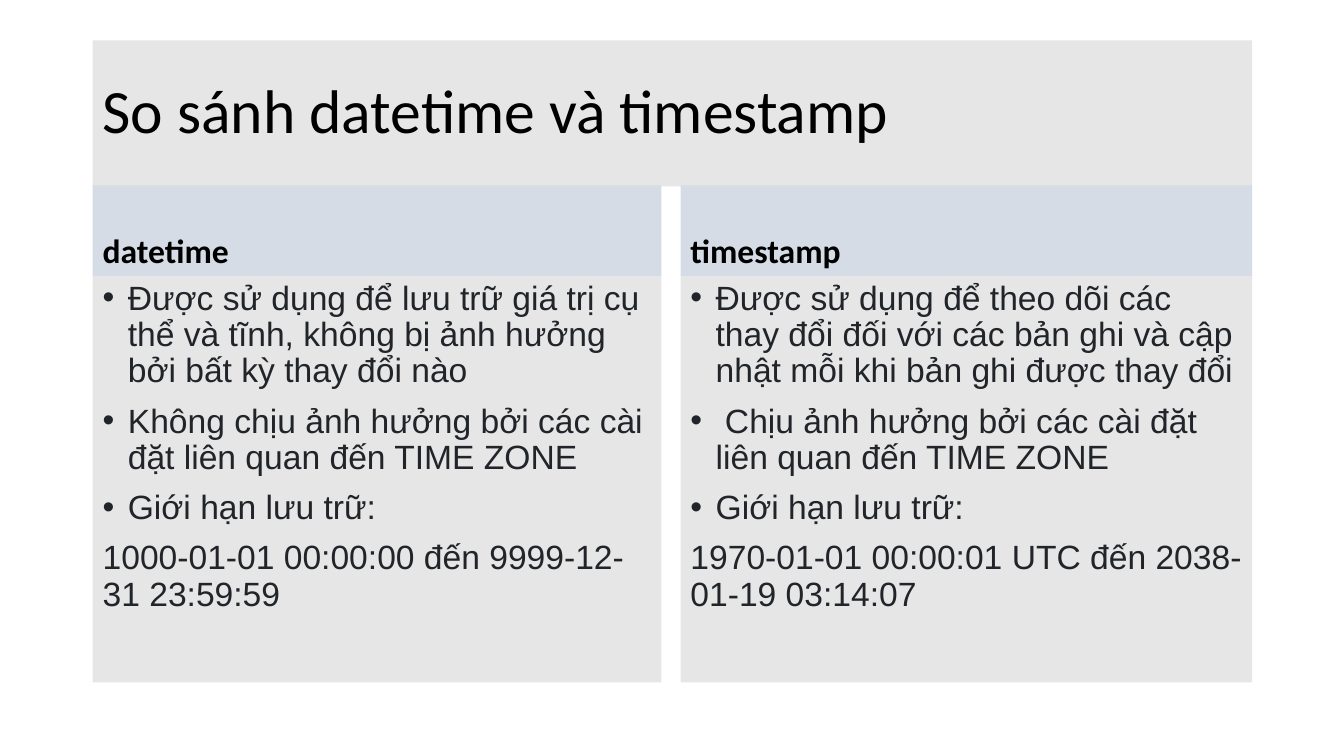
from dataclasses import dataclass

from lxml import etree
from pptx import Presentation
from pptx.dml.color import RGBColor
from pptx.enum.text import MSO_ANCHOR
from pptx.oxml.ns import qn
from pptx.slide import Slide
from pptx.text.text import _Paragraph
from pptx.util import Inches, Pt

TOP = MSO_ANCHOR.TOP
MIDDLE = MSO_ANCHOR.MIDDLE
BOTTOM = MSO_ANCHOR.BOTTOM

COLORS = {"panel": "E7E6E6", "heading": "D6DCE5", "black": "000000", "body": "212529"}
SLIDE_WIDTH, SLIDE_HEIGHT = 13.33, 7.5
LEFT, CONTENT_WIDTH = 0.92, 11.5
TITLE_TOP, TITLE_HEIGHT = 0.4, 1.45
HEADING_TOP, HEADING_HEIGHT = 1.84, 0.9
BODY_TOP, BODY_HEIGHT = HEADING_TOP + HEADING_HEIGHT, 4.03
BULLET_INDENT = 0.25


@dataclass(frozen=True)
class TextStyle:
    fill: str
    color: str
    font: str
    size: int
    anchor: MSO_ANCHOR
    bold: bool = False
    space_before: int = 10


@dataclass(frozen=True)
class Column:
    left: float
    width: float
    heading: str
    bullets: tuple[str, ...]
    limits: str


TITLE = TextStyle("panel", "black", "Calibri", 44, MIDDLE, space_before=0)
HEADING = TextStyle("heading", "black", "Calibri", 24, BOTTOM, bold=True)
BODY = TextStyle("panel", "body", "Arial", 24, TOP)

COLUMNS = (
    Column(
        LEFT, 5.64, "datetime",
        (
            "Được sử dụng để lưu trữ giá trị cụ thể và tĩnh, không bị ảnh hưởng bởi bất kỳ thay đổi nào",
            "Không chịu ảnh hưởng bởi các cài đặt liên quan đến TIME ZONE",
            "Giới hạn lưu trữ:",
        ),
        "1000-01-01 00:00:00 đến 9999-12-31 23:59:59",
    ),
    Column(
        6.75, 5.67, "timestamp",
        (
            "Được sử dụng để theo dõi các thay đổi đối với các bản ghi và cập nhật mỗi khi bản ghi được thay đổi",
            "\u00a0Chịu ảnh hưởng bởi các cài đặt liên quan đến TIME ZONE",
            "Giới hạn lưu trữ:",
        ),
        "1970-01-01 00:00:01 UTC đến 2038-01-19 03:14:07",
    ),
)


def add_bullet(paragraph: _Paragraph) -> None:
    properties = paragraph._p.get_or_add_pPr()
    properties.set("marL", str(Inches(BULLET_INDENT)))
    properties.set("indent", str(-Inches(BULLET_INDENT)))
    etree.SubElement(properties, qn("a:buFont")).set("typeface", "Arial")
    etree.SubElement(properties, qn("a:buChar")).set("char", "•")


def add_panel(
    slide: Slide, left: float, top: float, width: float, height: float,
    style: TextStyle, bullets: tuple[str, ...] = (), plain: tuple[str, ...] = (),
) -> None:
    shape = slide.shapes.add_textbox(Inches(left), Inches(top), Inches(width), Inches(height))
    shape.fill.solid()
    shape.fill.fore_color.rgb = RGBColor.from_string(COLORS[style.fill])
    frame = shape.text_frame
    frame.word_wrap = True
    frame.vertical_anchor = style.anchor
    frame.text = "\n".join(bullets + plain)
    for index, paragraph in enumerate(frame.paragraphs):
        paragraph.line_spacing = 0.9
        paragraph.space_before = Pt(style.space_before)
        paragraph.font.name = style.font
        paragraph.font.size = Pt(style.size)
        paragraph.font.bold = style.bold
        paragraph.font.color.rgb = RGBColor.from_string(COLORS[style.color])
        if index < len(bullets):
            add_bullet(paragraph)


def add_column(slide: Slide, column: Column) -> None:
    add_panel(slide, column.left, HEADING_TOP, column.width, HEADING_HEIGHT,
              HEADING, plain=(column.heading,))
    add_panel(slide, column.left, BODY_TOP, column.width, BODY_HEIGHT,
              BODY, column.bullets, (column.limits,))


presentation = Presentation()
presentation.slide_width = Inches(SLIDE_WIDTH)
presentation.slide_height = Inches(SLIDE_HEIGHT)
slide = presentation.slides.add_slide(presentation.slide_layouts[6])
add_panel(slide, LEFT, TITLE_TOP, CONTENT_WIDTH, TITLE_HEIGHT,
          TITLE, plain=("So sánh datetime và timestamp",))
for column in COLUMNS:
    add_column(slide, column)
presentation.save("out.pptx")
